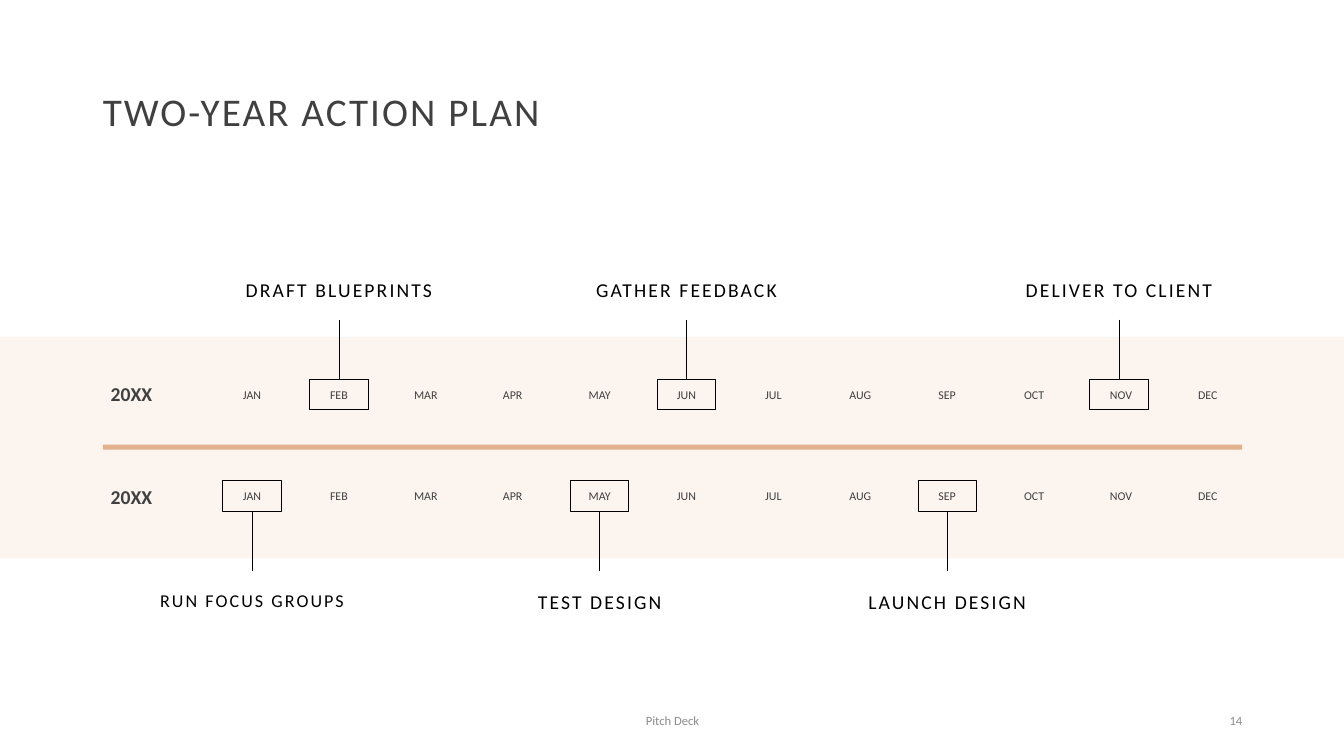
"""Build a two-year action plan timeline with months, milestones and callouts."""
import dataclasses
import typing

import pptx
import pptx.dml.color
import pptx.enum.shapes
import pptx.enum.text
import pptx.oxml
import pptx.oxml.ns
import pptx.util

Inches = pptx.util.Inches
Align = pptx.enum.text.PP_ALIGN
Anchor = pptx.enum.text.MSO_ANCHOR


@dataclasses.dataclass(frozen=True)
class Theme:
    font: str = "Calibri"
    ink: str = "000000"
    text: str = "404040"
    muted: str = "8C8C8C"
    band: str = "FBF4EF"
    accent: str = "E2B18D"
    title_size: float = 28
    label_size: float = 14
    tight_label_size: float = 12.9
    month_size: float = 8.5
    footer_size: float = 9
    tracking: float = 1.5
    line_width: float = 0.5


class Box(typing.NamedTuple):
    left: float
    top: float
    width: float
    height: float


@dataclasses.dataclass(frozen=True)
class Style:
    size: float
    color: str
    align: Align = Align.LEFT
    anchor: Anchor = Anchor.TOP
    line_spacing: float = 1.0
    space_before: float = 0
    bold: bool = False
    tracking: float = 0


@dataclasses.dataclass(frozen=True)
class Milestone:
    month: str
    label: str
    size: float
    shift: float = 0


@dataclasses.dataclass(frozen=True)
class YearRow:
    name: str
    year_top: float
    month_top: float
    frame_top: float
    line_top: float
    label_top: float
    label_anchor: Anchor
    milestones: tuple[Milestone, ...]


THEME = Theme()
MONTHS = "JAN FEB MAR APR MAY JUN JUL AUG SEP OCT NOV DEC".split()
FIRST_CENTER, LAST_CENTER = 2.5, 11.98
MONTH_WIDTH, MONTH_HEIGHT = 0.7, 0.22
FRAME_WIDTH, FRAME_HEIGHT = 0.58, 0.3
LABEL_WIDTH, LABEL_HEIGHT = 2.25, 0.61
LINE_LENGTH = 0.59

YEARS = (
    YearRow("20XX", 3.67, 3.83, 3.76, 3.17, 2.43, Anchor.BOTTOM, (
        Milestone("FEB", "DRAFT BLUEPRINTS", THEME.label_size),
        Milestone("JUN", "GATHER FEEDBACK", THEME.label_size),
        Milestone("NOV", "DELIVER TO CLIENT", THEME.label_size, -0.02),
    )),
    YearRow("20XX", 4.69, 4.84, 4.77, 5.07, 5.69, Anchor.TOP, (
        Milestone("JAN", "RUN FOCUS GROUPS", THEME.tight_label_size),
        Milestone("MAY", "TEST DESIGN", THEME.label_size),
        Milestone("SEP", "LAUNCH DESIGN", THEME.label_size),
    )),
)

TITLE = Style(THEME.title_size, THEME.text, anchor=Anchor.MIDDLE,
              line_spacing=0.9, tracking=THEME.tracking)
YEAR = Style(THEME.label_size, THEME.text, anchor=Anchor.MIDDLE,
             line_spacing=0.9, space_before=10, bold=True)
MONTH = Style(THEME.month_size, THEME.text, Align.CENTER,
              line_spacing=0.7, space_before=10)
FOOTER = Style(THEME.footer_size, THEME.muted, Align.CENTER, Anchor.MIDDLE)
PAGE_NUMBER = dataclasses.replace(FOOTER, align=Align.RIGHT)


def rgb(color: str) -> pptx.dml.color.RGBColor:
    """Return the colour for a hex string."""
    return pptx.dml.color.RGBColor.from_string(color)


def apply(target: typing.Any, values: dict[str, typing.Any]) -> None:
    """Set every named attribute on the target."""
    for name, value in values.items():
        setattr(target, name, value)


def write(shape: typing.Any, text: str, style: Style) -> None:
    """Fill a shape with one styled paragraph."""
    frame = shape.text_frame
    apply(frame, {"word_wrap": True, "vertical_anchor": style.anchor,
                  "auto_size": pptx.enum.text.MSO_AUTO_SIZE.NONE})
    paragraph = frame.paragraphs[0]
    apply(paragraph, {"alignment": style.align,
                      "line_spacing": style.line_spacing,
                      "space_before": pptx.util.Pt(style.space_before)})
    run = paragraph.add_run()
    run.text = text
    apply(run.font, {"name": THEME.font, "size": pptx.util.Pt(style.size),
                     "bold": style.bold})
    run.font.color.rgb = rgb(style.color)
    if style.tracking:
        run._r.get_or_add_rPr().set("spc", str(round(style.tracking * 100)))


def add_text(slide: typing.Any, box: Box, text: str, style: Style) -> None:
    """Add a text box."""
    write(slide.shapes.add_textbox(*map(Inches, box)), text, style)


def add_rectangle(slide: typing.Any, box: Box, fill: str | None = None) -> None:
    """Add a filled rectangle, or an outlined one when no fill is given."""
    shape = slide.shapes.add_shape(
        pptx.enum.shapes.MSO_SHAPE.RECTANGLE, *map(Inches, box))
    shape.shadow.inherit = False
    if fill:
        shape.fill.solid()
        shape.fill.fore_color.rgb = rgb(fill)
        shape.line.fill.background()
    else:
        shape.fill.background()
        shape.line.color.rgb = rgb(THEME.ink)
        shape.line.width = pptx.util.Pt(THEME.line_width)


def add_stem(slide: typing.Any, center: float, top: float) -> None:
    """Add the vertical line between a month frame and its label."""
    points = map(Inches, (center, top, center, top + LINE_LENGTH))
    connector = slide.shapes.add_connector(
        pptx.enum.shapes.MSO_CONNECTOR.STRAIGHT, *points)
    connector.line.color.rgb = rgb(THEME.ink)
    connector.line.width = pptx.util.Pt(THEME.line_width)
    connector._element.spPr.append(
        pptx.oxml.parse_xml(f"<a:effectLst {pptx.oxml.ns.nsdecls('a')}/>"))


def month_center(index: int) -> float:
    """Return the horizontal centre of a month column."""
    return FIRST_CENTER + index * (LAST_CENTER - FIRST_CENTER) / (len(MONTHS) - 1)


def centered(center: float, top: float, width: float, height: float) -> Box:
    """Return a box centred on a horizontal position."""
    return Box(center - width / 2, top, width, height)


def add_year(slide: typing.Any, row: YearRow) -> None:
    """Add a year with its months and milestones."""
    add_text(slide, Box(1, row.year_top, 0.8, 0.5), row.name, YEAR)
    for index, month in enumerate(MONTHS):
        box = centered(month_center(index), row.month_top, MONTH_WIDTH, MONTH_HEIGHT)
        add_text(slide, box, month, MONTH)
    for milestone in row.milestones:
        column = month_center(MONTHS.index(milestone.month))
        center = column + milestone.shift
        style = Style(milestone.size, THEME.ink, Align.CENTER, row.label_anchor,
                      line_spacing=1.5, space_before=10, tracking=THEME.tracking)
        add_text(slide, centered(center, row.label_top, LABEL_WIDTH, LABEL_HEIGHT),
                 milestone.label, style)
        add_stem(slide, center, row.line_top)
        add_rectangle(slide, centered(center, row.frame_top, FRAME_WIDTH, FRAME_HEIGHT))


def main() -> None:
    """Build and save the presentation."""
    presentation = pptx.Presentation()
    apply(presentation, {"slide_width": Inches(13.33), "slide_height": Inches(7.5)})
    slide = presentation.slides.add_slide(presentation.slide_layouts[5])
    title = slide.shapes.title
    apply(title, dict(zip(Box._fields, map(Inches, Box(0.92, 0.4, 11.5, 1.45)))))
    write(title, "TWO-YEAR ACTION PLAN", TITLE)
    add_rectangle(slide, Box(0, 3.34, 13.33, 2.2), THEME.band)
    add_rectangle(slide, Box(1.02, 4.41, 11.3, 0.05), THEME.accent)
    for row in YEARS:
        add_year(slide, row)
    add_text(slide, Box(4.42, 6.95, 4.5, 0.4), "Pitch Deck", FOOTER)
    add_text(slide, Box(9.42, 6.95, 3, 0.4), "14", PAGE_NUMBER)
    presentation.save("out.pptx")


if __name__ == "__main__":
    main()
